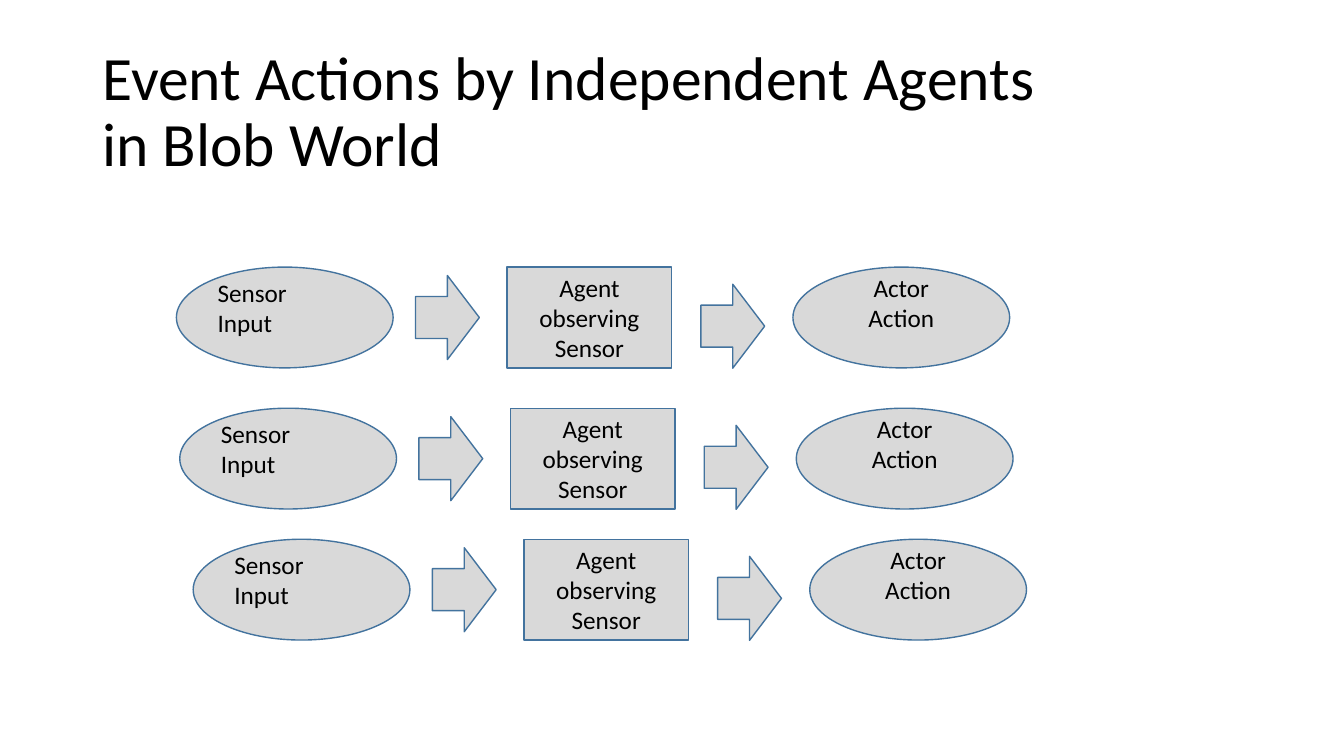
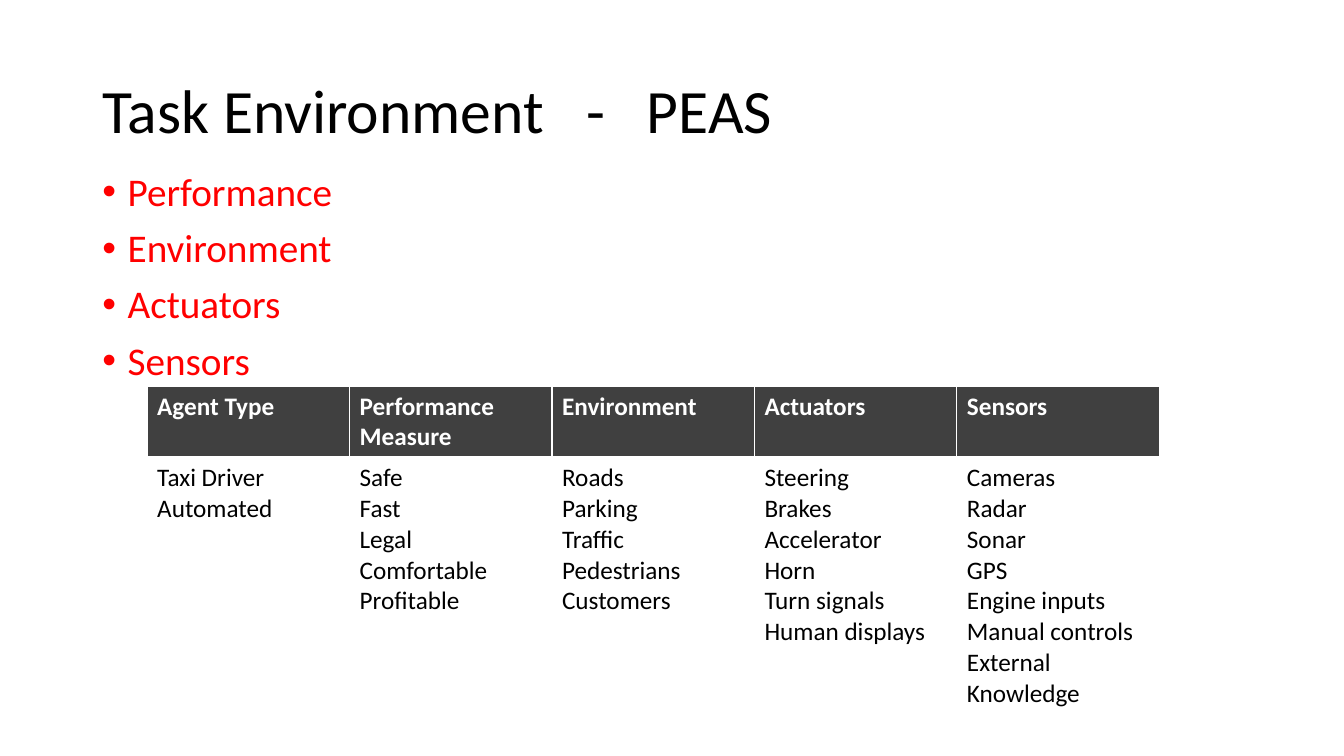
from lxml import etree
from pptx import Presentation
from pptx.dml.color import RGBColor
from pptx.enum.shapes import MSO_SHAPE
from pptx.enum.text import MSO_ANCHOR, MSO_AUTO_SIZE, PP_ALIGN
from pptx.oxml.ns import qn
from pptx.util import Pt

LEFT, CENTER = PP_ALIGN.LEFT, PP_ALIGN.CENTER
TOP, MIDDLE = MSO_ANCHOR.TOP, MSO_ANCHOR.MIDDLE
NO_AUTOFIT = MSO_AUTO_SIZE.NONE
OVAL, BOX, ARROW = MSO_SHAPE.OVAL, MSO_SHAPE.RECTANGLE, MSO_SHAPE.RIGHT_ARROW
TITLE_AND_CONTENT, TITLE_ONLY = 1, 5

FONT = "Calibri"
COLORS = {"text": "000000", "accent": "FF0000", "shape": "D9D9D9",
          "outline": "43739E", "header": "404040", "paper": "FFFFFF"}
SLIDE_SIZE = (960, 540)
TITLE_AREA = (66, 28.8, 828, 104.4)
BODY_AREA = (66, 119.5, 828, 342.7)
BULLET_INDENT = 18

AGENTS_TITLE = "Event Actions by Independent Agents \vin Blob World"
CHAIN_ORIGINS = [(126, 190.8), (128.4, 291.6), (138, 385.2)]
# Shape, offset from the chain's origin with size, text lines, space kept below the text
CHAIN = [
    (OVAL, (0, 0, 154.8, 72), [], 3.6),
    (ARROW, (170.8, 6, 45.6, 60), [], 3.6),
    (BOX, (236.2, 0, 117.6, 72), ["Agent observing", "Sensor"], 3.6),
    (ARROW, (374.6, 12.2, 45.6, 60), [], 3.6),
    (OVAL, (440.4, 0, 154.8, 72), ["Actor", "Action"], 25.6),
]
SENSOR_LABEL = ["Sensor", "Input"]
SENSOR_OFFSET = (22.3, 3.6, 104.4, 51.1)

PEAS_TITLE = "Task Environment\t-\tPEAS"
PEAS_TITLE_TABS = (345.5, 388.8)
PEAS = ["Performance", "Environment", "Actuators", "Sensors"]
AGENT_TABLE = [
    [["Agent Type"], ["Performance", "Measure"], ["Environment"], ["Actuators"],
     ["Sensors"]],
    [["Taxi Driver", "Automated"],
     ["Safe", "Fast", "Legal", "Comfortable", "Profitable"],
     ["Roads", "Parking", "Traffic", "Pedestrians", "Customers"],
     ["Steering", "Brakes", "Accelerator", "Horn", "Turn signals", "Human displays"],
     ["Cameras", "Radar", "Sonar", "GPS", "Engine inputs", "Manual controls",
      "External Knowledge"]],
]
TABLE_ORIGIN = (105.1, 275.8)
COLUMN_WIDTH = 144.6
ROW_HEIGHTS = (50.4, 180)


def rgb(color):
    return RGBColor.from_string(COLORS[color])


def points(values):
    return [Pt(value) for value in values]


def write(frame, lines, size=18, color="text", bold=False, **paragraph_format):
    frame.text = "\n".join(lines)
    for paragraph in frame.paragraphs:
        for name, value in paragraph_format.items():
            setattr(paragraph, name, value)
        font = paragraph.font
        for name, value in {"name": FONT, "size": Pt(size), "bold": bold}.items():
            setattr(font, name, value)
        font.color.rgb = rgb(color)


def fill_placeholder(placeholder, area, anchor, lines, **text_format):
    for name, value in zip(("left", "top", "width", "height"), points(area)):
        setattr(placeholder, name, value)
    frame = placeholder.text_frame
    frame.auto_size = NO_AUTOFIT
    frame.vertical_anchor = anchor
    write(frame, lines, line_spacing=0.9, alignment=LEFT, **text_format)
    return frame


def add_titled_slide(deck, layout, title):
    slide = deck.slides.add_slide(deck.slide_layouts[layout])
    frame = fill_placeholder(slide.shapes.title, TITLE_AREA, MIDDLE, [title], size=44)
    return slide, frame.paragraphs[0]


def set_tabs(paragraph, stops):
    tabs = etree.SubElement(paragraph._p.get_or_add_pPr(), qn("a:tabLst"))
    for stop in stops:
        etree.SubElement(tabs, qn("a:tab"), pos=str(Pt(stop)), algn="l")


def set_bullet(paragraph):
    properties = paragraph._p.get_or_add_pPr()
    properties.set("marL", str(Pt(BULLET_INDENT)))
    properties.set("indent", str(-Pt(BULLET_INDENT)))
    etree.SubElement(properties, qn("a:buFont"), typeface="Arial")
    etree.SubElement(properties, qn("a:buChar"), char="•")


def set_borders(cell, bottom_width):
    properties = cell._tc.get_or_add_tcPr()
    for side, width in (("L", 1), ("R", 1), ("T", 1), ("B", bottom_width)):
        border = etree.SubElement(properties, qn(f"a:ln{side}"), w=str(Pt(width)))
        fill = etree.SubElement(border, qn("a:solidFill"))
        etree.SubElement(fill, qn("a:srgbClr"), val=COLORS["paper"])


def add_chain(slide, origin):
    """Draw one sensor, agent and actor sequence."""
    def place(offset):
        x, y, width, height = offset
        return points((origin[0] + x, origin[1] + y, width, height))

    for kind, offset, lines, space_below in CHAIN:
        step = slide.shapes.add_shape(kind, *place(offset))
        step.shadow.inherit = False
        step.fill.solid()
        step.fill.fore_color.rgb = rgb("shape")
        step.line.color.rgb = rgb("outline")
        step.line.width = Pt(1)
        if lines:
            frame = step.text_frame
            frame.vertical_anchor = MIDDLE
            frame.margin_bottom = Pt(space_below)
            write(frame, lines, alignment=CENTER)
    label = slide.shapes.add_textbox(*place(SENSOR_OFFSET)).text_frame
    label.word_wrap = True
    write(label, SENSOR_LABEL)


def add_agent_table(slide):
    columns = len(AGENT_TABLE[0])
    area = (*TABLE_ORIGIN, COLUMN_WIDTH * columns, sum(ROW_HEIGHTS))
    table = slide.shapes.add_table(len(AGENT_TABLE), columns, *points(area)).table
    for row, height in zip(table.rows, ROW_HEIGHTS):
        row.height = Pt(height)
    for r, row in enumerate(AGENT_TABLE):
        is_header = r == 0
        for c, lines in enumerate(row):
            cell = table.cell(r, c)
            set_borders(cell, 3 if is_header else 1)
            cell.fill.solid()
            cell.fill.fore_color.rgb = rgb("header" if is_header else "paper")
            write(cell.text_frame, lines, bold=is_header,
                  color="paper" if is_header else "text")


def main():
    deck = Presentation()
    deck.slide_width, deck.slide_height = points(SLIDE_SIZE)

    agents, _ = add_titled_slide(deck, TITLE_ONLY, AGENTS_TITLE)
    for origin in CHAIN_ORIGINS:
        add_chain(agents, origin)

    environment, heading = add_titled_slide(deck, TITLE_AND_CONTENT, PEAS_TITLE)
    set_tabs(heading, PEAS_TITLE_TABS)
    peas = fill_placeholder(environment.placeholders[1], BODY_AREA, TOP, PEAS,
                            size=28, color="accent", space_before=Pt(10))
    for paragraph in peas.paragraphs:
        set_bullet(paragraph)
    add_agent_table(environment)

    deck.save("out.pptx")


if __name__ == "__main__":
    main()
